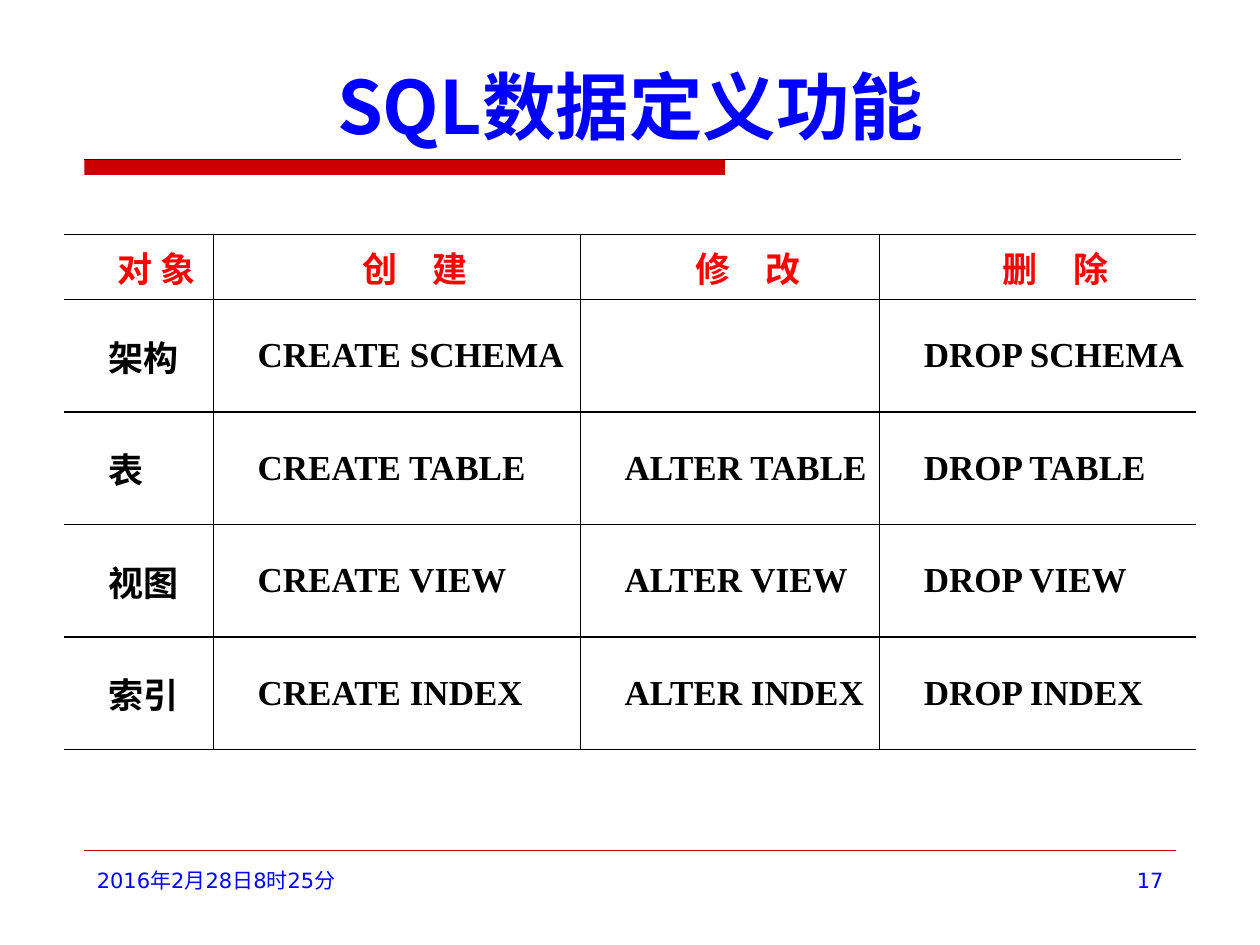
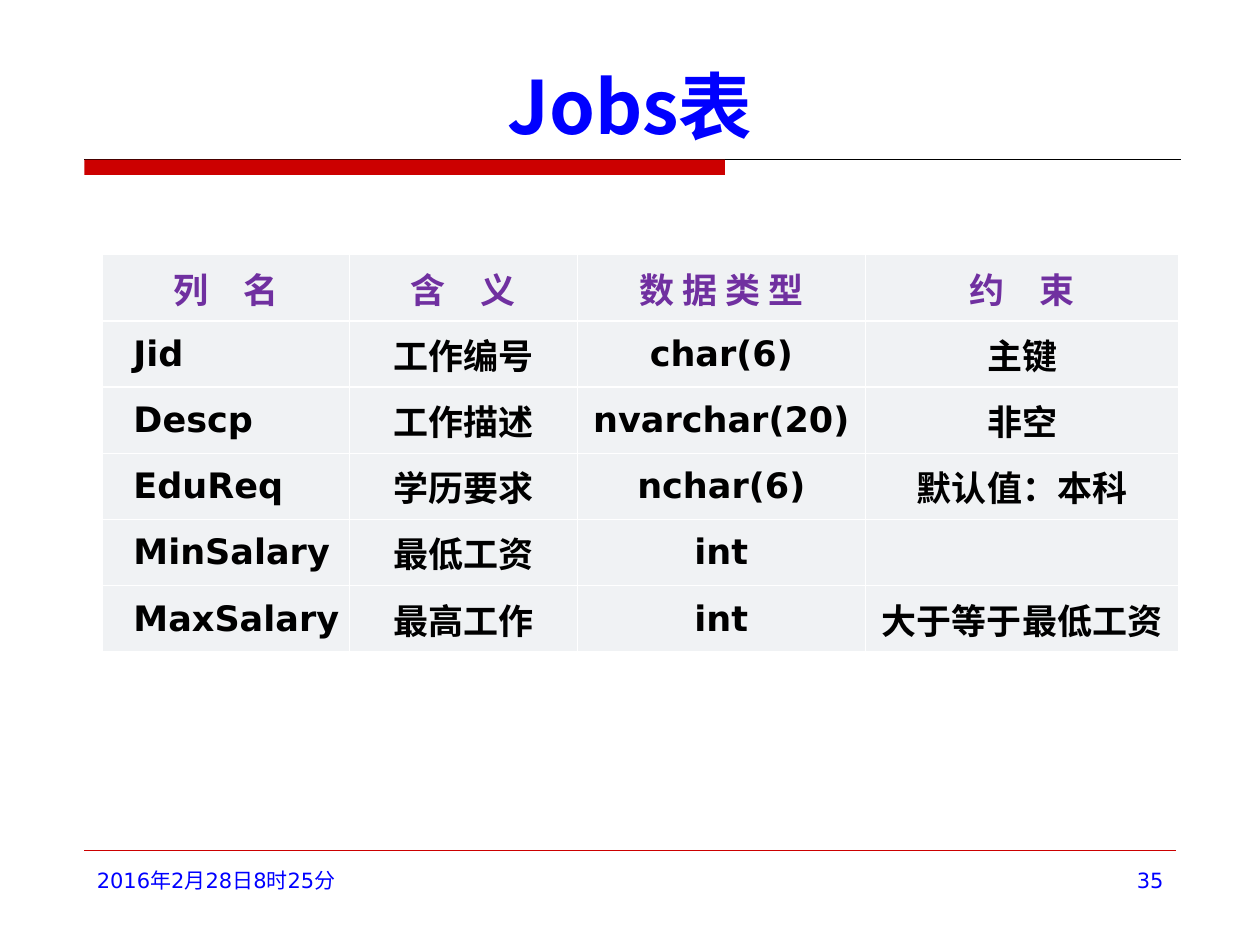
from lxml import etree
from pptx import Presentation
from pptx.dml.color import RGBColor
from pptx.enum.shapes import MSO_CONNECTOR, MSO_SHAPE
from pptx.enum.text import MSO_ANCHOR, PP_ALIGN
from pptx.oxml.ns import qn
from pptx.util import Pt

LEFT, MID, RIGHT = PP_ALIGN.LEFT, PP_ALIGN.CENTER, PP_ALIGN.RIGHT
TOP, CENTRE, BOTTOM = MSO_ANCHOR.TOP, MSO_ANCHOR.MIDDLE, MSO_ANCHOR.BOTTOM
LINE, RECT = MSO_CONNECTOR.STRAIGHT, MSO_SHAPE.RECTANGLE

BLUE = RGBColor(0x00, 0x00, 0xFF)
BRICK = RGBColor(0xCC, 0x00, 0x00)
RED = RGBColor(0xFF, 0x00, 0x00)
PURPLE = RGBColor(0x70, 0x30, 0xA0)
BLACK = RGBColor(0x00, 0x00, 0x00)
WHITE = RGBColor(0xFF, 0xFF, 0xFF)
PALE = RGBColor(0xF0, 0xF2, 0xF4)

HAN = "Noto Sans CJK SC"
SANS = "DejaVu Sans"
SERIF = "Times New Roman"

EDGE = 48.25
DATE = "2016年2月28日8时25分"

COMMANDS = [
    ["对 象", "创　建", "修　改", "删　除"],
    ["架构", "CREATE SCHEMA", "", "DROP SCHEMA"],
    ["表", "CREATE TABLE", "ALTER TABLE", "DROP TABLE"],
    ["视图", "CREATE VIEW", "ALTER VIEW", "DROP VIEW"],
    ["索引", "CREATE INDEX", "ALTER INDEX", "DROP INDEX"],
]
JOBS = [
    ["列　名", "含　义", "数 据 类 型", "约　束"],
    ["Jid", "工作编号", "char(6)", "主键"],
    ["Descp", "工作描述", "nvarchar(20)", "非空"],
    ["EduReq", "学历要求", "nchar(6)", "默认值：本科"],
    ["MinSalary", "最低工资", "int", ""],
    ["MaxSalary", "最高工作", "int", "大于等于最低工资"],
]


def style(para, face, size, color, bold=False, align=LEFT):
    """Set a paragraph's font, with the Han face for Chinese letters."""
    para.alignment = align
    font = para.font
    font.name, font.size, font.bold = face, Pt(size), bold
    font.color.rgb = color
    han = etree.SubElement(para._p.pPr.find(qn("a:defRPr")), qn("a:ea"))
    han.set("typeface", HAN)


def add_text(slide, text, box, face, size, bold=False, align=LEFT, anchor=TOP):
    frame = slide.shapes.add_textbox(*map(Pt, box)).text_frame
    frame.word_wrap = True
    frame.vertical_anchor = anchor
    para = frame.paragraphs[0]
    para.text = text
    style(para, face, size, BLUE, bold, align)


def add_rule(slide, x, y, end, color, width):
    rule = slide.shapes.add_connector(LINE, Pt(x), Pt(y), Pt(end), Pt(y))
    rule.line.color.rgb = color
    rule.line.width = Pt(width)
    etree.SubElement(rule._element.spPr, qn("a:effectLst"))


def add_bar(slide):
    bar = slide.shapes.add_shape(RECT, Pt(EDGE), Pt(91.25), Pt(366), Pt(8.75))
    bar.shadow.inherit = False
    bar.fill.solid()
    bar.fill.fore_color.rgb = BRICK
    bar.line.fill.background()


def add_page(deck, title, number):
    """Add a slide with its title, band and footer."""
    slide = deck.slides.add_slide(deck.slide_layouts[6])
    add_rule(slide, EDGE, 91.25, 674.75, BLACK, 0.5)
    add_bar(slide)
    add_rule(slide, EDGE, 486, 672, BRICK, 0.25)
    add_text(slide, title, (45, 23.75, 630, 65), HAN, 42, True, MID, BOTTOM)
    add_text(slide, DATE, (EDGE, 492, 159, 37.5), SANS, 12)
    add_text(slide, str(number), (516, 492, 156, 37.5), SANS, 12, align=RIGHT)
    return slide


def set_border(cell, sides, color):
    """Draw the named sides of a cell and clear the others."""
    props = cell._tc.get_or_add_tcPr()
    for side in "LRTB":
        line = etree.SubElement(props, qn("a:ln" + side), w=str(Pt(1)))
        if side in sides:
            fill = etree.SubElement(line, qn("a:solidFill"))
            etree.SubElement(fill, qn("a:srgbClr"), val=str(color))
        else:
            etree.SubElement(line, qn("a:noFill"))


def set_cell(cell, text, face, color, align, indent):
    cell.margin_left = cell.margin_right = Pt(5)
    cell.margin_top = cell.margin_bottom = 0
    cell.vertical_anchor = CENTRE
    para = cell.text_frame.paragraphs[0]
    para.text = text
    para.space_before = para.space_after = Pt(1.2)
    style(para, face, 20, color, True, align)
    para._p.pPr.set("marL", "0")
    para._p.pPr.set("indent", str(Pt(indent)))


def add_grid(slide, data, spot, widths, heights):
    """Add a table without style bands and return it."""
    box = (*spot, sum(widths), sum(heights))
    grid = slide.shapes.add_table(len(data), len(widths), *map(Pt, box)).table
    grid.first_row = grid.horz_banding = False
    for col, width in zip(grid.columns, widths):
        col.width = Pt(width)
    for row, height in zip(grid.rows, heights):
        row.height = Pt(height)
    return grid


def add_commands(slide):
    grid = add_grid(slide, COMMANDS, (36.75, 134),
                    [85.25, 209.75, 171, 180.75], [37.25] + [64.25] * 4)
    for r, row in enumerate(COMMANDS):
        color, align = (BLACK, LEFT) if r else (RED, MID)
        for c, text in enumerate(row):
            cell = grid.cell(r, c)
            set_cell(cell, text, SERIF, color, align, 20.25)
            sides = "TB" + "L" * (c > 0) + "R" * (c < len(row) - 1)
            set_border(cell, sides, BLACK)
            cell.fill.background()


def add_jobs(slide):
    grid = add_grid(slide, JOBS, (58.25, 145.5),
                    [141.5, 130.25, 164.5, 179.25], [37.85] * len(JOBS))
    for r, row in enumerate(JOBS):
        for c, text in enumerate(row):
            cell = grid.cell(r, c)
            align, indent = (LEFT, 13) if r and not c else (MID, 0)
            set_cell(cell, text, SANS, BLACK if r else PURPLE, align, indent)
            set_border(cell, "LRTB", WHITE)
            cell.fill.solid()
            cell.fill.fore_color.rgb = PALE


def main():
    deck = Presentation()
    deck.slide_width, deck.slide_height = Pt(720), Pt(540)
    add_commands(add_page(deck, "SQL数据定义功能", 17))
    add_jobs(add_page(deck, "Jobs表", 35))
    deck.save("out.pptx")


if __name__ == "__main__":
    main()
